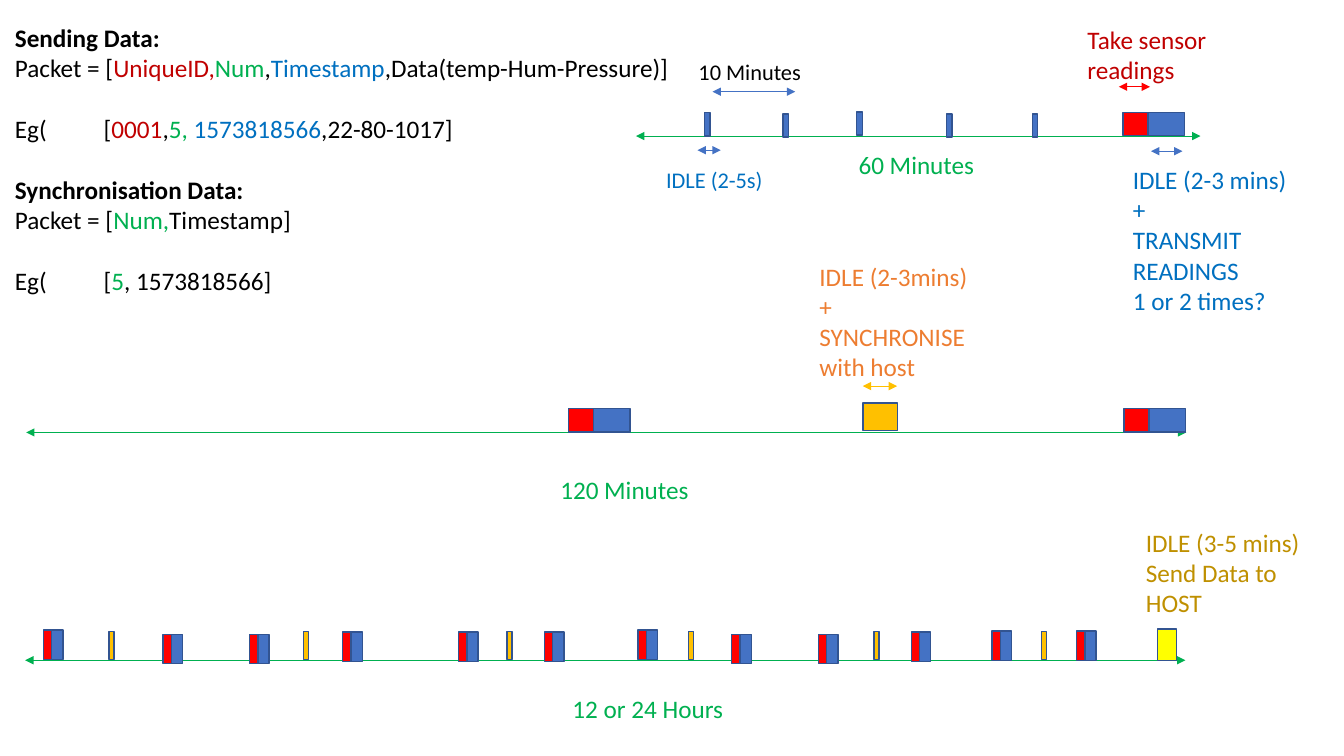
from pptx import Presentation
from pptx.dml.color import RGBColor
from pptx.enum.shapes import MSO_CONNECTOR, MSO_SHAPE
from pptx.enum.text import MSO_AUTO_SIZE
from pptx.oxml.ns import qn
from pptx.util import Pt
from lxml import etree

RECTANGLE = MSO_SHAPE.RECTANGLE
STRAIGHT = MSO_CONNECTOR.STRAIGHT
FIT_TEXT = MSO_AUTO_SIZE.SHAPE_TO_FIT_TEXT

BLACK = RGBColor(0x00, 0x00, 0x00)
DARK_RED = RGBColor(0xC0, 0x00, 0x00)
RED = RGBColor(0xFF, 0x00, 0x00)
GREEN = RGBColor(0x00, 0xB0, 0x50)
TEXT_BLUE = RGBColor(0x00, 0x70, 0xC0)
BLUE = RGBColor(0x44, 0x72, 0xC4)
OUTLINE = RGBColor(0x32, 0x54, 0x91)
ORANGE = RGBColor(0xED, 0x7D, 0x31)
AMBER = RGBColor(0xFF, 0xC0, 0x00)
YELLOW = RGBColor(0xFF, 0xFF, 0x00)
OCHRE = RGBColor(0xBF, 0x90, 0x00)

BLANK_LAYOUT = 6
BLANK_LINE = 22
EXAMPLE_TAB = 63.4


class TimelinePage:
    """Holds the text style and the slide that is being drawn."""

    font = "Calibri"

    def __init__(self, page):
        """Keep the slide."""
        self.shapes = page.shapes

    def text(self, left, top, width, height):
        """Add an empty wrapping text box and return its frame."""
        box = self.shapes.add_textbox(Pt(left), Pt(top), Pt(width), Pt(height))
        frame = box.text_frame
        frame.word_wrap = True
        frame.auto_size = FIT_TEXT
        return frame

    def span(self, para, words, color, size=18, bold=False):
        """Add one run to a paragraph."""
        span = para.add_run()
        span.text = words
        span.font.name = self.font
        span.font.size = Pt(size)
        span.font.bold = bold
        span.font.color.rgb = color

    def label(self, left, top, width, height, lines, color, size=18):
        """Add a label in one colour, one paragraph per line."""
        frame = self.text(left, top, width, height)
        for number, line in enumerate(lines):
            para = frame.add_paragraph() if number else frame.paragraphs[0]
            self.span(para, line, color, size)

    def block(self, left, top, width, height, color):
        """Add an outlined rectangle for one event."""
        block = self.shapes.add_shape(
            RECTANGLE, Pt(left), Pt(top), Pt(width), Pt(height))
        block.shadow.inherit = False
        block.fill.solid()
        block.fill.fore_color.rgb = color
        block.line.color.rgb = OUTLINE
        block.line.width = Pt(1)

    def reading(self, left, top, red_width, blue_width, height):
        """Add a sensor reading followed by its transmission."""
        self.block(left + red_width, top, blue_width, height, BLUE)
        self.block(left, top, red_width, height, RED)

    def arrow(self, start, end, y, color):
        """Add a horizontal arrow with a head at both ends."""
        arrow = self.shapes.add_connector(
            STRAIGHT, Pt(start), Pt(y), Pt(end), Pt(y))
        arrow.line.color.rgb = color
        arrow.line.width = Pt(0.5)
        line = arrow.line._get_or_add_ln()
        for end_name in ("a:headEnd", "a:tailEnd"):
            etree.SubElement(line, qn(end_name), type="triangle")
        etree.SubElement(arrow._element.spPr, qn("a:effectLst"))


def add_tab(para, position):
    """Give a paragraph one left tab stop."""
    tabs = etree.SubElement(para._p.get_or_add_pPr(), qn("a:tabLst"))
    etree.SubElement(tabs, qn("a:tab"), pos=str(Pt(position)), algn="l")


def draw_packets(page):
    """Write the two packet formats with their examples."""
    sections = [
        ("Sending Data:",
         [("Packet = [", BLACK), ("UniqueID,", DARK_RED), ("Num", GREEN),
          (",", BLACK), ("Timestamp", TEXT_BLUE),
          (",Data(temp-Hum-Pressure)]", BLACK)],
         [("Eg(\t[", BLACK), ("0001", DARK_RED), (",", BLACK),
          ("5, ", GREEN), ("1573818566", TEXT_BLUE),
          (",22-80-1017]", BLACK)]),
        ("Synchronisation Data:",
         [("Packet = [", BLACK), ("Num,", GREEN), ("Timestamp]", BLACK)],
         [("Eg(\t[", BLACK), ("5", GREEN), (", 1573818566]", BLACK)]),
    ]
    frame = page.text(3.6, 12.2, 484, 204)
    for number, (heading, packet, example) in enumerate(sections):
        para = frame.add_paragraph() if number else frame.paragraphs[0]
        para.space_before = Pt(BLANK_LINE * number)
        page.span(para, heading, BLACK, bold=True)
        for spans, gap in ((packet, 0), (example, BLANK_LINE)):
            para = frame.add_paragraph()
            para.space_before = Pt(gap)
            add_tab(para, EXAMPLE_TAB)
            for words, color in spans:
                page.span(para, words, color)


def draw_hour(page):
    """Draw the 60 minute timeline."""
    page.label(606.2, 103, 100, 29, ["60 Minutes"], GREEN)
    page.arrow(454.3, 857.5, 97.2, GREEN)
    for left, top in ((503.3, 80.6), (559.4, 81.4), (612, 80),
                      (676.1, 81.4), (737.3, 81.4)):
        page.block(left, top, 4, 16.6, BLUE)
    page.reading(802.1, 80.3, 18, 26, 16.6)
    page.arrow(509, 568, 65.5, BLUE)
    page.label(491.8, 38.2, 114.5, 26.6, ["10 Minutes"], BLACK, 16)
    page.arrow(498.2, 514.8, 107.3, BLUE)
    page.label(468.7, 115.2, 104.4, 26.6, ["IDLE (2-5s)"], TEXT_BLUE, 16)
    page.label(769.7, 13.7, 126, 51, ["Take sensor readings"], DARK_RED)
    page.arrow(799.2, 821.5, 62, RED)
    page.arrow(822.2, 844.6, 108, BLUE)
    page.label(802.1, 113.8, 126, 116.6,
               ["IDLE (2-3 mins)", "+", "TRANSMIT READINGS", "1 or 2 times?"],
               TEXT_BLUE)


def draw_two_hours(page):
    """Draw the 120 minute timeline."""
    page.arrow(18.7, 847.4, 308.9, GREEN)
    page.label(393.1, 335.5, 135.4, 29, ["120 Minutes"], GREEN)
    page.arrow(616.3, 640.8, 275.8, AMBER)
    page.label(578.2, 182.9, 126, 94.3,
               ["IDLE (2-3mins)", "+", "SYNCHRONISE", "with host"], ORANGE)
    for left in (406.1, 802.8):
        page.reading(left, 292, 18, 26, 16.6)
    page.block(616.3, 288, 24.8, 19.4, AMBER)


def draw_day(page):
    """Draw the 12 or 24 hour timeline."""
    page.arrow(18, 846.7, 471.6, GREEN)
    page.label(401.8, 491.8, 135.4, 29, ["12 or 24 Hours"], GREEN)
    readings = [(31, 450), (116.6, 453), (178.2, 453), (244.8, 451.4),
                (327.6, 451.4), (388.8, 451.4), (455.8, 450), (522.7, 453),
                (584.6, 453), (650.9, 451.4), (708.5, 450.7), (769, 450.7)]
    for left, top in readings:
        page.reading(left, top, 6, 8, 21)
    for left in (77.8, 216.7, 362.2, 491.8, 624.2, 743.8):
        page.block(left, 451, 3.6, 20.2, AMBER)
    page.block(826.6, 449.3, 13.7, 22.3, YELLOW)
    page.label(811.4, 373, 126, 72.7,
               ["IDLE (3-5 mins)", "Send Data to HOST"], OCHRE)


deck = Presentation()
deck.slide_width = Pt(960)
deck.slide_height = Pt(540)
timeline = TimelinePage(deck.slides.add_slide(deck.slide_layouts[BLANK_LAYOUT]))
draw_packets(timeline)
draw_hour(timeline)
draw_two_hours(timeline)
draw_day(timeline)
deck.save("out.pptx")
